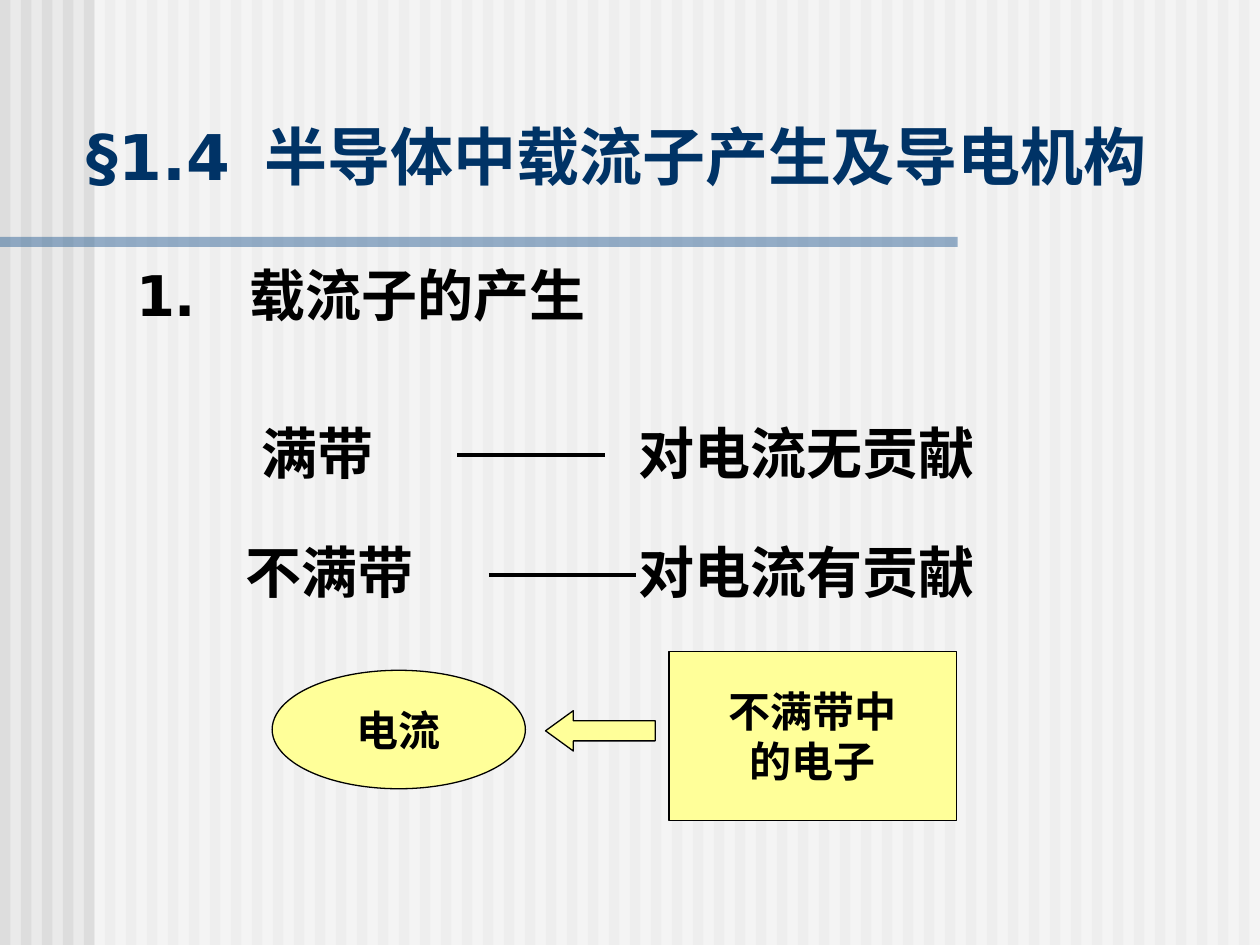
import pptx
import pptx.util
import pptx.dml.color
import pptx.enum.shapes
import pptx.enum.text
import pptx.oxml
import pptx.oxml.ns

Inches = pptx.util.Inches
RGBColor = pptx.dml.color.RGBColor
Shape = pptx.enum.shapes.MSO_SHAPE
Align = pptx.enum.text.PP_ALIGN
Anchor = pptx.enum.text.MSO_ANCHOR
qn = pptx.oxml.ns.qn

BACKGROUND = RGBColor(0xEA, 0xEA, 0xEA)
STRIPE = RGBColor(0xDD, 0xDD, 0xDD)
WHITE = RGBColor(0xFF, 0xFF, 0xFF)
BLACK = RGBColor(0, 0, 0)
NAVY = RGBColor(0x00, 0x33, 0x66)
BLUE = RGBColor(0x33, 0x66, 0x99)
YELLOW = RGBColor(0xFF, 0xFF, 0x99)

WIDTH, HEIGHT = 10, 7.5
STRIPE_COUNT = 60
STRIPE_PITCH = WIDTH / STRIPE_COUNT
TITLE = ("§1.4\t半导体中载流子产生及导电机构", (0.59, 0.52, 8.75, 1.42), 36, NAVY, 1.41, Anchor.MIDDLE)
HEADING = ("1.\t载流子的产生", (0.98, 2.02, 4.76, 0.72), 32, BLACK, 0.9, Anchor.TOP)
BANDS = [
    ("满带", 1.98, 1.86, 3.63, "对电流无贡献"),
    ("不满带", 1.85, 2.32, 3.88, "对电流有贡献"),
]
BAND_TOP, BAND_PITCH, BAND_HEIGHT = 3.27, 0.95, 0.63
EFFECT_LEFT, EFFECT_WIDTH = 4.97, 2.87
DASH_LENGTH, DASH_DROP = 1.17, 0.34
FLOW = [
    (Shape.RECTANGLE, (5.31, 5.17, 2.28, 1.34), ["不满带中", "的电子"]),
    (Shape.LEFT_ARROW, (4.33, 5.64, 0.87, 0.32), []),
    (Shape.OVAL, (2.16, 5.32, 2.01, 0.94), ["电流"]),
]


def inches(box):
    return [Inches(length) for length in box]


def add_filled(shapes, kind, box, color, opacity=None):
    shape = shapes.add_shape(kind, *inches(box))
    shape.shadow.inherit = False
    shape.fill.solid()
    shape.fill.fore_color.rgb = color
    shape.line.fill.background()
    if opacity is not None:
        tint = shape.fill._xPr.find(".//" + qn("a:srgbClr"))
        tint.append(pptx.oxml.parse_xml(
            f'<a:alpha {pptx.oxml.ns.nsdecls("a")} val="{opacity * 1000}"/>'))
    return shape


def set_font(paragraph, name, size, color):
    font = paragraph.font
    font.name, font.size, font.bold = name, pptx.util.Pt(size), True
    font.color.rgb = color


def add_backdrop(slide):
    slide.background.fill.solid()
    slide.background.fill.fore_color.rgb = BACKGROUND
    group = slide.shapes.add_group_shape()
    for index in range(STRIPE_COUNT):
        box = (index * STRIPE_PITCH, 0, STRIPE_PITCH / 2, HEIGHT)
        add_filled(group.shapes, Shape.RECTANGLE, box, STRIPE)
    add_filled(group.shapes, Shape.RECTANGLE, (0.75, 0, 9.25, HEIGHT), WHITE, 50)
    add_filled(group.shapes, Shape.RECTANGLE, (0, 1.88, 7.6, 0.08), BLUE, 50)
    slide.shapes._spTree.insert(2, group._element)


def fill_placeholder(placeholder, text, box, size, color, indent, anchor):
    placeholder.left, placeholder.top, placeholder.width, placeholder.height = inches(box)
    frame = placeholder.text_frame
    frame.text = text
    frame.auto_size = pptx.enum.text.MSO_AUTO_SIZE.NONE
    frame.vertical_anchor = anchor
    paragraph = frame.paragraphs[0]
    paragraph.alignment = Align.LEFT
    paragraph.space_before = pptx.util.Pt(0)
    properties = paragraph._p.get_or_add_pPr()
    properties.set("marL", str(Inches(indent)))
    properties.set("indent", str(-Inches(indent)))
    properties.append(properties.makeelement(qn("a:buNone"), {}))
    set_font(paragraph, "DejaVu Sans", size, color)


def add_label(slide, text, box, wrap):
    frame = slide.shapes.add_textbox(*inches(box)).text_frame
    frame.word_wrap = wrap
    frame.text = text
    set_font(frame.paragraphs[0], "Arial", 32, BLACK)


def add_dash(slide, left, y):
    line = slide.shapes.add_connector(
        pptx.enum.shapes.MSO_CONNECTOR.STRAIGHT, *inches((left, y, left + DASH_LENGTH, y)))
    line.line.color.rgb = BLACK
    line.line.width = pptx.util.Pt(2.25)
    properties = line._element.spPr
    properties.append(properties.makeelement(qn("a:effectLst"), {}))


def add_flow_shape(slide, kind, box, lines):
    shape = add_filled(slide.shapes, kind, box, YELLOW)
    shape.line.color.rgb = BLACK
    shape.line.width = pptx.util.Pt(0.75)
    if kind == Shape.LEFT_ARROW:
        shape.adjustments[1] = 0.69
    if lines:
        frame = shape.text_frame
        frame.text = "\n".join(lines)
        frame.word_wrap = False
        frame.vertical_anchor = Anchor.MIDDLE
        for paragraph in frame.paragraphs:
            paragraph.alignment = Align.CENTER
            set_font(paragraph, "Times New Roman", 24, BLACK)


def main():
    """Build the slide on carrier generation in semiconductors."""
    presentation = pptx.Presentation()
    presentation.slide_width, presentation.slide_height = inches((WIDTH, HEIGHT))
    slide = presentation.slides.add_slide(presentation.slide_layouts[1])
    add_backdrop(slide)
    fill_placeholder(slide.shapes.title, *TITLE)
    fill_placeholder(slide.placeholders[1], *HEADING)
    for row, (band, left, width, dash_left, effect) in enumerate(BANDS):
        top = BAND_TOP + row * BAND_PITCH
        add_label(slide, band, (left, top, width, BAND_HEIGHT), True)
        add_dash(slide, dash_left, top + DASH_DROP)
        add_label(slide, effect, (EFFECT_LEFT, top, EFFECT_WIDTH, BAND_HEIGHT), False)
    for kind, box, lines in FLOW:
        add_flow_shape(slide, kind, box, lines)
    presentation.save("out.pptx")


if __name__ == "__main__":
    main()
